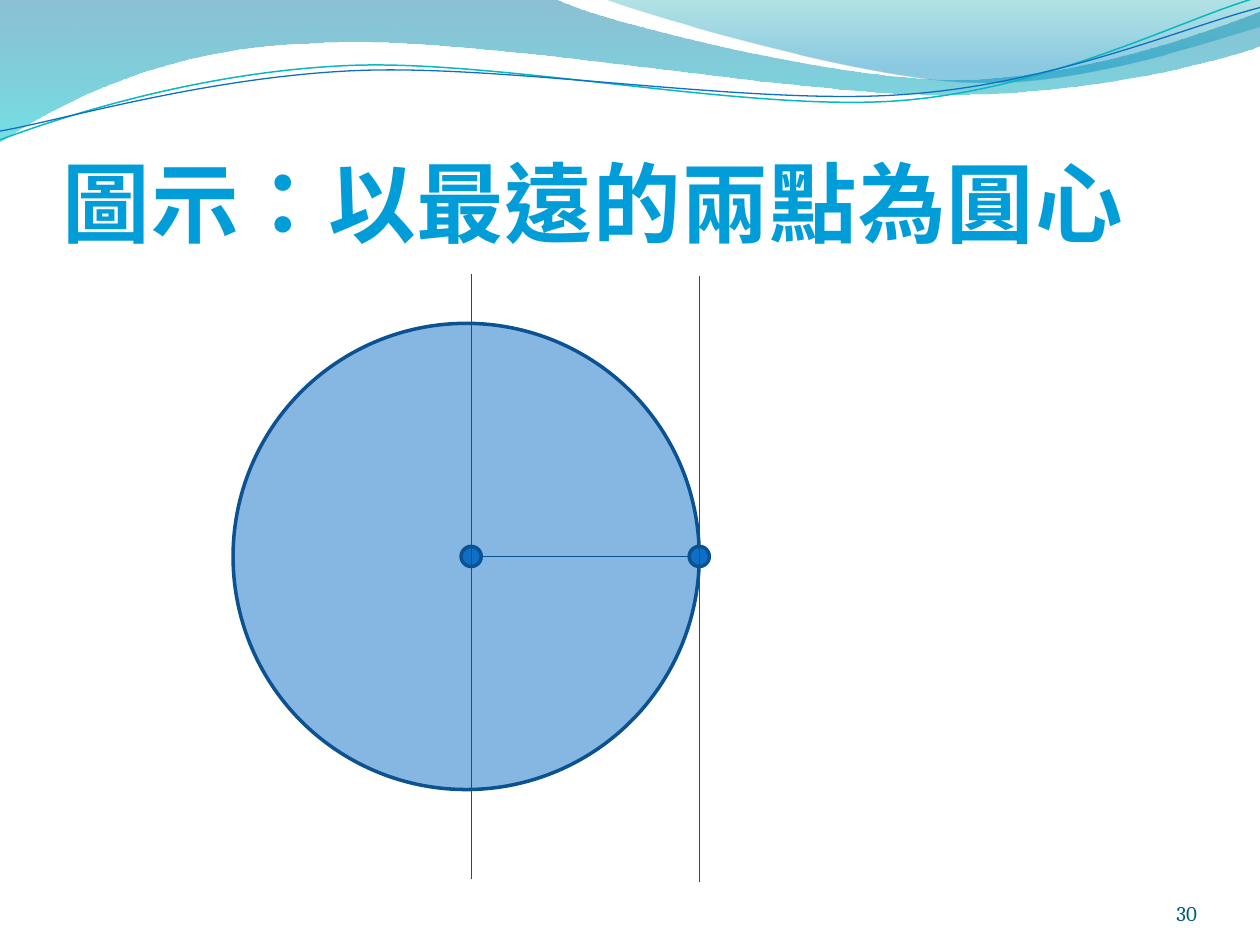
from math import cos, radians, sin

from lxml.etree import SubElement
from pptx import Presentation
from pptx.dml.color import RGBColor
from pptx.enum.shapes import MSO_CONNECTOR, MSO_SHAPE
from pptx.enum.text import MSO_ANCHOR, PP_ALIGN
from pptx.oxml.ns import qn
from pptx.util import Pt

THEME = {
    "font": "Cambria", "title_size": 50, "number_size": 12,
    "title": "009DD9", "number": "045D75",
    "disc": "0F6FC6", "outline": "0B5292", "guide": "095295",
    "band": [(0, "0074A1", 45), (1, "00C6CF", 55)],
    "corner": [(0, "00A1A9", 30), (0.8, "008BBF", 45)],
    "teal_wave": "0AB8BF", "blue_wave": "0F6FC6",
}


def set_color(color, value, opacity=100):
    """Set a colour from its hex value, with an opacity in percent."""
    color.rgb = RGBColor.from_string(value)
    if opacity < 100:
        clr = color._xFill.find(qn("a:srgbClr"))
        SubElement(clr, qn("a:alpha"), val=str(opacity * 1000))


def add_curve(s, parts, closed, tilt=0, center=(0, 0)):
    """Add an outline of points and Bezier triples, drawn level and then tilted in degrees."""
    c, d, (cx, cy) = cos(radians(tilt)), sin(radians(tilt)), center
    parts = [[(Pt(cx + (x - cx) * c + (y - cy) * d), Pt(cy - (x - cx) * d + (y - cy) * c))
              for x, y in zip(part[::2], part[1::2])] for part in parts]
    anchors = [part[-1] for part in parts]
    builder = s.shapes.build_freeform(*anchors[0], scale=1)
    builder.add_line_segments(anchors[1:], close=closed)
    sp = builder.convert_to_shape()
    segments = list(sp._element.iter(qn("a:lnTo")))
    for segment, part in zip(segments, parts[1:]):
        if len(part) == 3:
            curve = segment.makeelement(qn("a:cubicBezTo"))
            for x, y in part:
                SubElement(curve, qn("a:pt"), x=str(x - sp.left), y=str(y - sp.top))
            segment.getparent().replace(segment, curve)
    sp.shadow.inherit = False
    sp.rotation = tilt % 360
    return sp


prs = Presentation()
prs.slide_width, prs.slide_height = Pt(720), Pt(540)
s = prs.slides.add_slide(prs.slide_layouts[6])

# Header bands
bands = [
    ([(0, 0), (316.8, -0.72), (342.72, 12.24, 478.08, 45.36, 545.76, 45.36),
      (614.16, 45.36, 689.76, 18.72, 720, 6.48), (720.72, 25.92),
      (707.76, 31.68, 626.4, 54.72, 537.12, 54), (447.84, 54, 275.04, 20.16, 185.04, 24.48),
      (92.88, 25.92, 33.12, 59.76, -0.72, 81.36)], THEME["band"]),
    ([(344.88, -0.72), (366.48, 7.92, 491.04, 44.64, 553.68, 46.8),
      (616.32, 49.68, 691.92, 23.04, 720, 15.12), (720, 0)], THEME["corner"]),
]
for parts, stops in bands:
    sp = add_curve(s, parts, True)
    sp.line.fill.background()
    sp.fill.gradient()
    sp.fill.gradient_angle = 270
    for stop, (position, value, opacity) in zip(sp.fill.gradient_stops, stops):
        stop.position = position
        set_color(stop.color, value, opacity)

# Thin tilted waves
waves = [
    ([(0, 79.92), (34.56, 66.96, 113.76, 41.04, 199.44, 37.44),
      (284.4, 33.84, 426.96, 64.08, 513.36, 57.6),
      (599.76, 51.12, 675.36, 10.8, 718.56, -1.44)], (359.28, 41.4), "teal_wave", 0.85),
    ([(0, 74.88), (33.84, 69.12, 118.08, 43.92, 203.76, 40.32),
      (290.16, 36.72, 429.84, 60.48, 516.24, 54),
      (601.92, 48.24, 677.52, 15.12, 720, 4.32)], (359.64, 42.48), "blue_wave", 0.75),
]
for parts, center, key, width in waves:
    sp = add_curve(s, parts, False, -2.7, center)
    sp.fill.background()
    set_color(sp.line.color, THEME[key])
    sp.line.width = Pt(width)

# Title and slide number
texts = [
    ("圖示：以最遠的兩點為圓心", (36, 55, 648, 90), 3.6, PP_ALIGN.LEFT,
     {"size": Pt(THEME["title_size"]), "bold": True}, THEME["title"],
     {"lang": "zh-TW", "altLang": "en-US", "spc": "50"}),
    ("30", (624.24, 500.4, 59.76, 28.8), 0, PP_ALIGN.RIGHT,
     {"size": Pt(THEME["number_size"])}, THEME["number"], {"lang": "en-US"}),
]
for text, box, inset, align, font, value, attributes in texts:
    tf = s.shapes.add_textbox(*map(Pt, box)).text_frame
    frame = {"word_wrap": True, "vertical_anchor": MSO_ANCHOR.BOTTOM, "margin_left": 0,
             "margin_right": 0, "margin_top": Pt(inset), "margin_bottom": 0}
    for name, setting in frame.items():
        setattr(tf, name, setting)
    p = tf.paragraphs[0]
    p.alignment = align
    r = p.add_run()
    r.text = text
    for name, setting in {"name": THEME["font"], **font}.items():
        setattr(r.font, name, setting)
    set_color(r.font.color, value)
    for name, setting in attributes.items():
        r._r.get_or_add_rPr().set(name, setting)

# Disc and the two farthest points: centre x, radius, opacity
center_x, edge_x, mid_y, dot = 269.28, 399.6, 318, 5.76
for x, radius, opacity in [(266.4, 133.2, 50), (center_x, dot, 100), (edge_x, dot, 100)]:
    sp = s.shapes.add_shape(MSO_SHAPE.OVAL, Pt(x - radius), Pt(mid_y - radius),
                            Pt(2 * radius), Pt(2 * radius))
    sp.shadow.inherit = False
    sp.fill.solid()
    set_color(sp.fill.fore_color, THEME["disc"], opacity)
    set_color(sp.line.color, THEME["outline"])
    sp.line.width = Pt(2)

# Radius and the two vertical guides
for ends in [(center_x + dot, mid_y, edge_x - dot, mid_y),
             (center_x, 502.4, center_x, 156.8), (edge_x, 504, edge_x, 157.68)]:
    line = s.shapes.add_connector(MSO_CONNECTOR.STRAIGHT, *map(Pt, ends))
    set_color(line.line.color, THEME["guide"])
    line.line.width = Pt(0.75)
    SubElement(line._element.spPr, qn("a:effectLst"))

prs.save("out.pptx")
